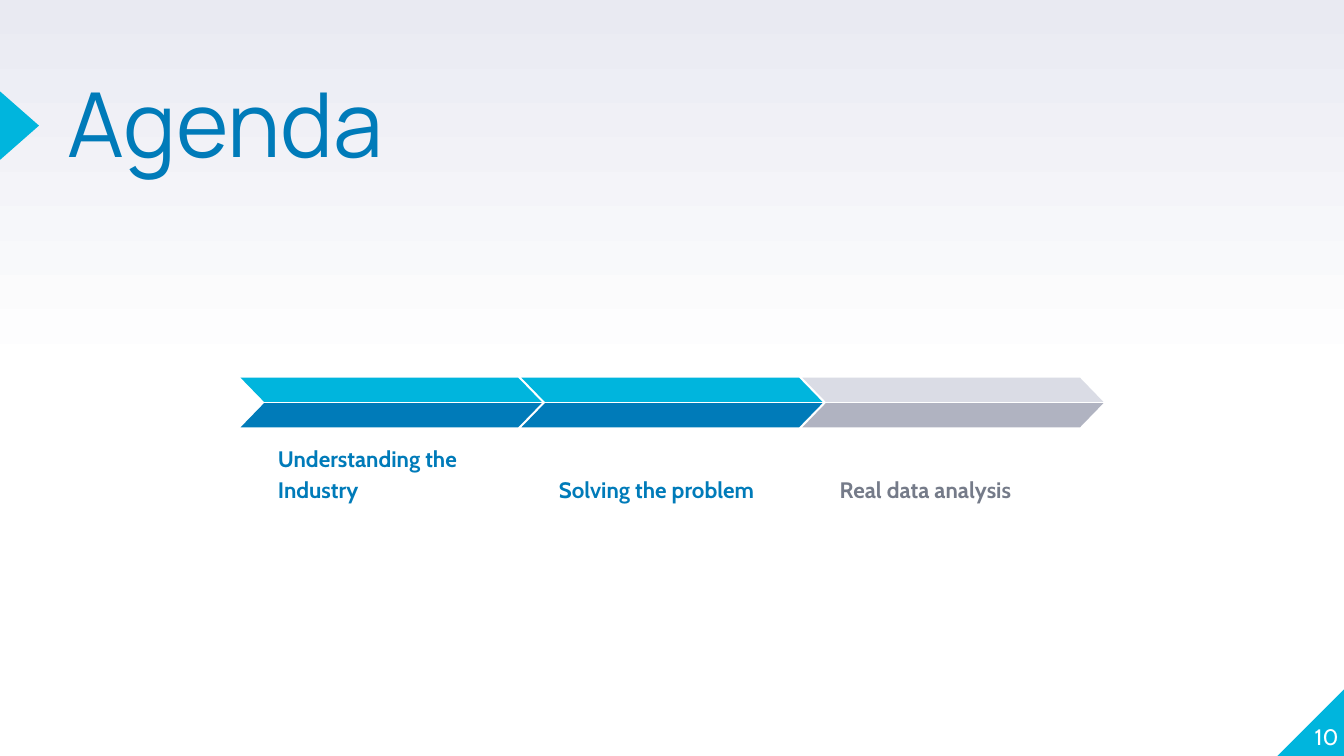
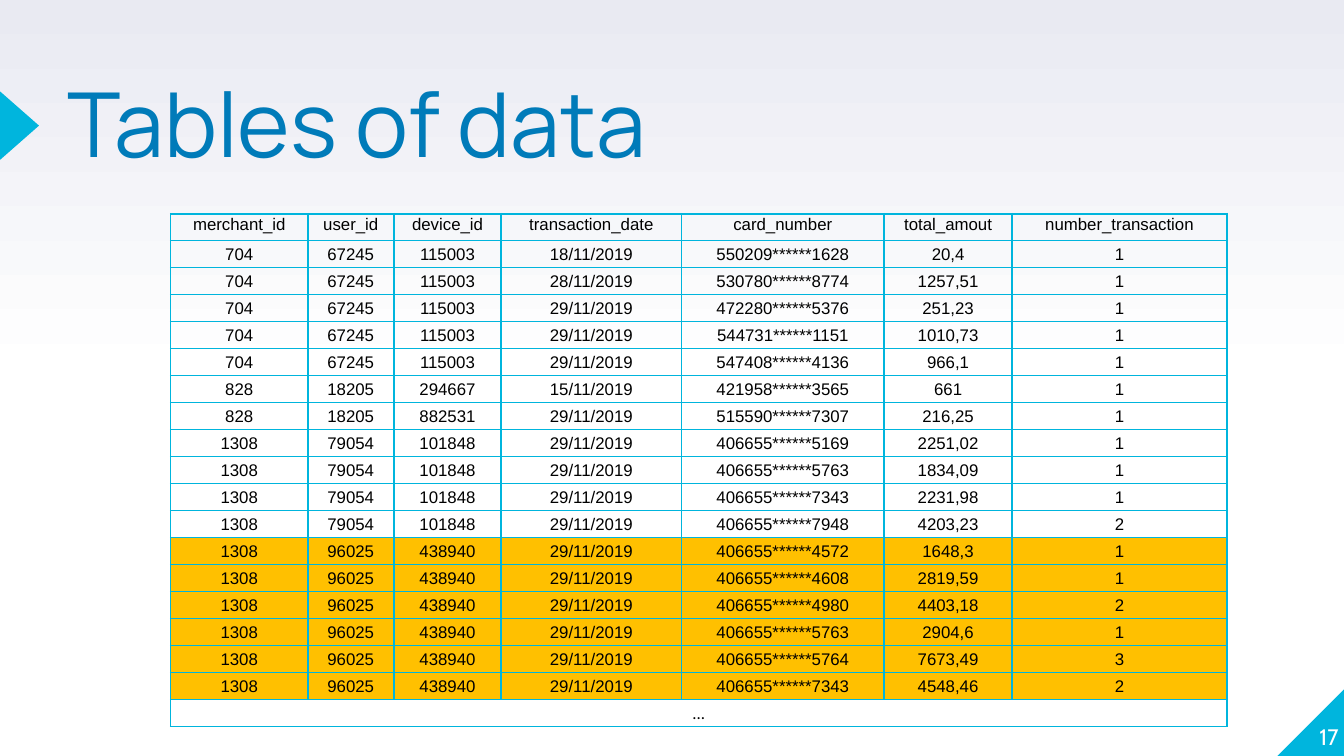
from copy import deepcopy

from lxml.etree import SubElement
from pptx import Presentation
from pptx.dml.color import RGBColor
from pptx.enum.shapes import MSO_SHAPE as Preset
from pptx.enum.text import MSO_ANCHOR as Anchor, MSO_AUTO_SIZE as AutoSize, PP_ALIGN as Align
from pptx.oxml.ns import qn
from pptx.util import Inches, Pt

# Colours and fonts
CYAN = RGBColor(0x00, 0xB5, 0xDD)
BLUE = RGBColor(0x00, 0x7B, 0xB9)
LIGHT_GREY = RGBColor(0xDA, 0xDC, 0xE5)
MID_GREY = RGBColor(0xB0, 0xB3, 0xC1)
DARK_GREY = RGBColor(0x75, 0x7B, 0x89)
LAVENDER = RGBColor(0xE9, 0xEA, 0xF2)
AMBER = RGBColor(0xFF, 0xC0, 0x00)
WHITE = RGBColor(0xFF, 0xFF, 0xFF)
BLACK = RGBColor(0x00, 0x00, 0x00)
TITLE_FONT, BODY_FONT, TABLE_FONT, ELLIPSIS_FONT = "Manrope", "Cabin", "Arial", "Calibri"

# Content
ACTIVE = (CYAN, BLUE, BLUE)  # upper band, lower band, label
PENDING = (LIGHT_GREY, MID_GREY, DARK_GREY)
AGENDA = [
    ("Understanding the Industry", ACTIVE),
    ("Solving the problem", ACTIVE),
    ("Real data analysis", PENDING),
]
HEADER = ["merchant_id", "user_id", "device_id", "transaction_date",
          "card_number", "total_amout", "number_transaction"]
COLUMN_WIDTHS = [1.02, 0.64, 0.8, 1.34, 1.51, 0.95, 1.6]
# (merchant, user, device) with its (date, card, amount, count) records
TRANSACTIONS = [
    (("704", "67245", "115003"), [
        ("18/11/2019", "550209******1628", "20,4", "1"),
        ("28/11/2019", "530780******8774", "1257,51", "1"),
        ("29/11/2019", "472280******5376", "251,23", "1"),
        ("29/11/2019", "544731******1151", "1010,73", "1"),
        ("29/11/2019", "547408******4136", "966,1", "1"),
    ]),
    (("828", "18205", "294667"), [("15/11/2019", "421958******3565", "661", "1")]),
    (("828", "18205", "882531"), [("29/11/2019", "515590******7307", "216,25", "1")]),
    (("1308", "79054", "101848"), [
        ("29/11/2019", "406655******5169", "2251,02", "1"),
        ("29/11/2019", "406655******5763", "1834,09", "1"),
        ("29/11/2019", "406655******7343", "2231,98", "1"),
        ("29/11/2019", "406655******7948", "4203,23", "2"),
    ]),
    (("1308", "96025", "438940"), [
        ("29/11/2019", "406655******4572", "1648,3", "1"),
        ("29/11/2019", "406655******4608", "2819,59", "1"),
        ("29/11/2019", "406655******4980", "4403,18", "2"),
        ("29/11/2019", "406655******5763", "2904,6", "1"),
        ("29/11/2019", "406655******5764", "7673,49", "3"),
        ("29/11/2019", "406655******7343", "4548,46", "2"),
    ]),
]
HIGHLIGHTED_USER = "96025"

# Layout, in inches
WIDTH = 10
HEIGHT = WIDTH * 9 / 16
ARROW_LEFT, ARROW_TOP, ARROW_PITCH = 1.79, 2.81, 2.09
ARROW_WIDTH, BAND_HEIGHT, BAND_PITCH = 2.24, 0.18, 0.19
LABEL_INDENT, LABEL_TOP, LABEL_WIDTH, LABEL_HEIGHT = 0.18, 3.29, 1.84, 0.55
TABLE_LEFT, TABLE_TOP, TABLE_HEIGHT = 1.27, 1.59, 3.82


def box(*lengths):
    return [Inches(length) for length in lengths]


def add_preset(shapes, preset, place, color, flip=False):
    shape = shapes.add_shape(preset, *box(*place))
    shape.shadow.inherit = False
    shape.fill.solid()
    shape.fill.fore_color.rgb = color
    shape.line.fill.background()
    if flip:
        shape._element.spPr.find(qn("a:xfrm")).set("flipH", "1")
    return shape


def set_text(frame, text, font, size, color, align=Align.LEFT, spacing=None, bold=False):
    frame.text = text
    paragraph = frame.paragraphs[0]
    paragraph.alignment = align
    if spacing:
        paragraph.line_spacing = spacing
    run_font = paragraph.runs[0].font
    run_font.name, run_font.size, run_font.bold = font, Pt(size), bold
    run_font.color.rgb = color


def set_frame(frame, anchor, inset):
    frame.word_wrap = True
    frame.auto_size = AutoSize.NONE
    frame.vertical_anchor = anchor
    frame.margin_left = frame.margin_right = Inches(inset)
    frame.margin_top = frame.margin_bottom = Inches(inset)


def set_background(master):
    """White lower half, fading to lavender at the top."""
    fill = master.background.fill
    fill.gradient()
    fill.gradient_angle = 90
    first = next(master._element.iter(qn("a:gs")))
    first.addnext(deepcopy(first))
    for stop, (position, color) in zip(
            fill.gradient_stops, [(0, WHITE), (0.5, WHITE), (1, LAVENDER)]):
        stop.position = position
        stop.color.rgb = color


def add_slide(presentation, title, number):
    slide = presentation.slides.add_slide(presentation.slide_layouts.get_by_name("Title Only"))
    # Corner and title marker
    add_preset(slide.shapes, Preset.RIGHT_TRIANGLE, (9.5, 5.12, 0.51, 0.51), CYAN, flip=True)
    marker = add_preset(slide.shapes, Preset.ISOSCELES_TRIANGLE, (-0.11, 0.79, 0.51, 0.29), CYAN)
    marker.rotation = 90
    # Title
    heading = slide.shapes.title
    heading.left, heading.top, heading.width, heading.height = box(0.5, 0.66, 6.17, 1.18)
    set_frame(heading.text_frame, Anchor.TOP, 0)
    set_text(heading.text_frame, title, TITLE_FONT, 48, BLUE, spacing=0.8)
    # Page number
    frame = slide.shapes.add_textbox(*box(9.46, 5.07, 0.5, 0.51)).text_frame
    set_frame(frame, Anchor.BOTTOM, 0)
    set_text(frame, number, BODY_FONT, 12, WHITE, Align.RIGHT)
    return slide


def add_agenda_step(slide, index, label, colors):
    group = slide.shapes.add_group_shape().shapes
    left = ARROW_LEFT + index * ARROW_PITCH
    upper, lower, label_color = colors
    frame = group.add_textbox(
        *box(left + LABEL_INDENT, LABEL_TOP, LABEL_WIDTH, LABEL_HEIGHT)).text_frame
    set_frame(frame, Anchor.BOTTOM, 0.1)
    set_text(frame, label, BODY_FONT, 12, label_color, spacing=1.15, bold=True)
    for band, color in enumerate((upper, lower)):
        place = (left, ARROW_TOP + band * BAND_PITCH, ARROW_WIDTH, BAND_HEIGHT)
        half = add_preset(group, Preset.PARALLELOGRAM, place, color, flip=band == 0)
        half.adjustments[0] = 0.97


def format_cell(cell, fill):
    cell.margin_left = cell.margin_right = cell.margin_top = Inches(0.01)
    cell.margin_bottom = 0
    properties = cell._tc.get_or_add_tcPr()
    for side in ("a:lnL", "a:lnR", "a:lnT", "a:lnB"):
        line = SubElement(properties, qn(side), w=str(Pt(1)))
        solid = SubElement(line, qn("a:solidFill"))
        SubElement(solid, qn("a:srgbClr"), val=str(CYAN))
    if fill is None:
        cell.fill.background()
    else:
        cell.fill.solid()
        cell.fill.fore_color.rgb = fill


def add_transactions(slide):
    records = [key + record for key, group in TRANSACTIONS for record in group]
    rows = [HEADER, *records, ["..."]]
    table = slide.shapes.add_table(
        len(rows), len(HEADER),
        *box(TABLE_LEFT, TABLE_TOP, sum(COLUMN_WIDTHS), TABLE_HEIGHT)).table
    table.first_row = table.horz_banding = False
    for column, width in zip(table.columns, COLUMN_WIDTHS):
        column.width = Inches(width)
    last = len(rows) - 1
    table.cell(last, 0).merge(table.cell(last, len(HEADER) - 1))
    for row_index, values in enumerate(rows):
        table.rows[row_index].height = Inches(TABLE_HEIGHT / len(rows))
        fill = WHITE if row_index == last else AMBER if HIGHLIGHTED_USER in values else None
        for column_index in range(len(HEADER)):
            cell = table.cell(row_index, column_index)
            format_cell(cell, fill)
            cell.vertical_anchor = Anchor.MIDDLE if row_index else Anchor.TOP
            if column_index < len(values):
                font = ELLIPSIS_FONT if row_index == last else TABLE_FONT
                set_text(cell.text_frame, values[column_index], font, 9, BLACK, Align.CENTER)


def main():
    presentation = Presentation()
    presentation.slide_width, presentation.slide_height = box(WIDTH, HEIGHT)
    set_background(presentation.slide_master)

    agenda = add_slide(presentation, "Agenda", "10")
    for index, (label, colors) in enumerate(AGENDA):
        add_agenda_step(agenda, index, label, colors)

    add_transactions(add_slide(presentation, "Tables of data", "17"))
    presentation.save("out.pptx")


if __name__ == "__main__":
    main()
